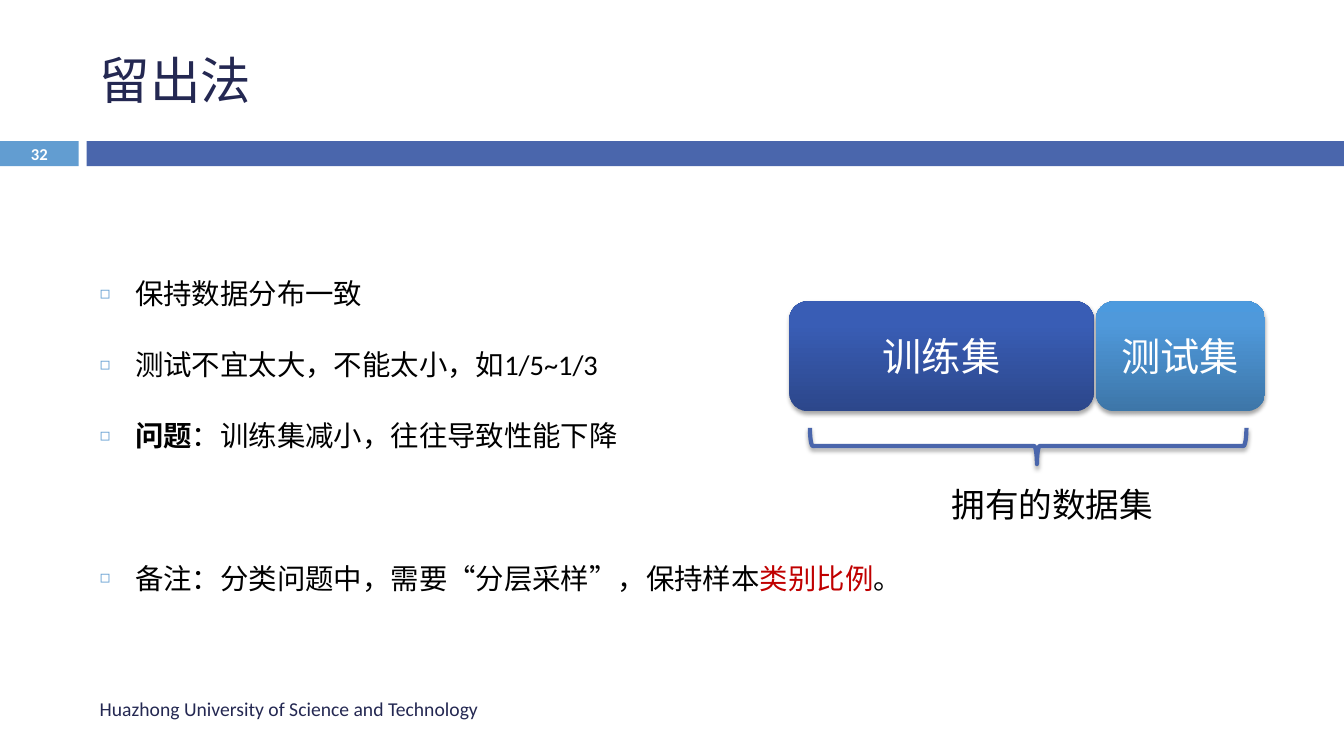
"""Build the slide on the hold-out method for splitting a data set."""
from copy import deepcopy

from lxml.etree import SubElement
from pptx import Presentation
from pptx.dml.color import RGBColor
from pptx.enum.shapes import MSO_SHAPE
from pptx.enum.text import MSO_ANCHOR, MSO_AUTO_SIZE, PP_ALIGN
from pptx.oxml.ns import qn
from pptx.util import Inches, Pt

COLOURS = {
    "navy": "242852", "blue": "4A66AC", "sky": "629DD1",
    "black": "000000", "white": "FFFFFF", "red": "C00000",
}
CJK_FONT = "Noto Sans CJK SC"

deck = Presentation()
deck.slide_width, deck.slide_height = Inches(13.33), Inches(7.5)
page = deck.slides.add_slide(deck.slide_layouts[1])


def area(left, top, width, height):
    """Turn percentages of the slide into a left, top, width and height."""
    return [int(deck.slide_width * left / 100), int(deck.slide_height * top / 100),
            int(deck.slide_width * width / 100), int(deck.slide_height * height / 100)]


def write(para, text, size, colour="black", bold=False, font="Calibri"):
    """Add a formatted span of text to a paragraph."""
    span = para.add_run()
    span.text = text
    span.font.size = Pt(size)
    span.font.bold = bold
    span.font.name = font
    span.font.color.rgb = RGBColor.from_string(COLOURS[colour])
    SubElement(span.font._element, qn("a:ea"), typeface=CJK_FONT)


BAND_TOP, BAND_HEIGHT = 18.67, 3.33
MARGIN = 6.68

bands = []
for left, width, colour in [(0, 5.85, "sky"), (6.45, 93.55, "blue")]:
    band = page.shapes.add_shape(MSO_SHAPE.RECTANGLE, *area(left, BAND_TOP, width, BAND_HEIGHT))
    band.shadow.inherit = False
    band.fill.solid()
    band.fill.fore_color.rgb = RGBColor.from_string(COLOURS[colour])
    band.line.fill.background()
    bands.append(band)
number_frame = bands[0].text_frame
number_frame.margin_top = number_frame.margin_bottom = 0
number_frame.paragraphs[0].alignment = PP_ALIGN.CENTER
write(number_frame.paragraphs[0], "32", size=11.9, colour="white", bold=True)

title = page.shapes.title
title.left, title.top, title.width, title.height = area(MARGIN, 3.33, 89.18, 14.4)
title.text_frame.vertical_anchor = MSO_ANCHOR.MIDDLE
title.text_frame.paragraphs[0].alignment = PP_ALIGN.LEFT
write(title.text_frame.paragraphs[0], "留出法", size=36, colour="navy")

body = page.placeholders[1]
body.left, body.top, body.width, body.height = area(MARGIN, 32.3, 81.75, 49.3)
body.text_frame.auto_size = MSO_AUTO_SIZE.NONE
points = [
    (0, [("保持数据分布一致", {})]),
    (7, [("测试不宜太大，不能太小，如1/5~1/3", {})]),
    (7, [("问题", {"bold": True}), ("：训练集减小，往往导致性能下降", {})]),
    (58, [("备注：分类问题中，需要“分层采样”，保持样本", {}),
          ("类别比例", {"colour": "red"}), ("。", {})]),
]
for index, (gap, spans) in enumerate(points):
    para = body.text_frame.add_paragraph() if index else body.text_frame.paragraphs[0]
    para.line_spacing = Pt(43.7)
    para.space_before = Pt(gap)
    layout = para._p.get_or_add_pPr()
    layout.set("marL", str(Inches(0.35)))
    layout.set("indent", str(-Inches(0.35)))
    bullet_colour = SubElement(layout, qn("a:buClr"))
    SubElement(bullet_colour, qn("a:srgbClr"), val=COLOURS["sky"])
    SubElement(layout, qn("a:buSzPct"), val="60000")
    SubElement(layout, qn("a:buChar"), char="◻")
    for text, style in spans:
        write(para, text, size=20.3, **style)

raised = []
data_sets = [
    ("训练集", 58.73, 22.65, ["2C478B", "395DB5", "375CB8"]),
    ("测试集", 81.53, 12.6, ["3D76A8", "4F99DB", "4C9ADE"]),
]
for name, left, width, shades in data_sets:
    box = page.shapes.add_shape(MSO_SHAPE.ROUNDED_RECTANGLE, *area(left, 39.87, width, 14.53))
    box.line.fill.background()
    box.fill.gradient()
    box.fill.gradient_angle = 90
    stop_list = box._element.spPr.find(qn("a:gradFill")).find(qn("a:gsLst"))
    stop_list.append(deepcopy(stop_list[-1]))
    for stop, position, shade in zip(box.fill.gradient_stops, [0, 0.8, 1], shades):
        stop.position = position
        stop.color.rgb = RGBColor.from_string(shade)
    box.text_frame.vertical_anchor = MSO_ANCHOR.MIDDLE
    box.text_frame.paragraphs[0].alignment = PP_ALIGN.CENTER
    write(box.text_frame.paragraphs[0], name, size=28, colour="white", font=CJK_FONT)
    raised.append(box)

brace = page.shapes.add_shape(MSO_SHAPE.RIGHT_BRACE, *area(75.15, 30.13, 2.7, 57.73))
brace.rotation = 90
brace.adjustments[0], brace.adjustments[1] = 0.08, 0.48
brace.fill.background()
brace.line.color.rgb = RGBColor.from_string(COLOURS["blue"])
brace.line.width = Pt(3)
raised.append(brace)

for shape in raised:
    shape.shadow.inherit = False
    effects = shape._element.spPr.find(qn("a:effectLst"))
    shadow = SubElement(effects, qn("a:outerShdw"), blurRad=str(Pt(3.1)), dist=str(Pt(1.8)),
                        dir="5400000", rotWithShape="0")
    shadow_colour = SubElement(shadow, qn("a:srgbClr"), val=COLOURS["black"])
    SubElement(shadow_colour, qn("a:alpha"), val="35000")

labels = [
    ("拥有的数据集", (70.05, 63.33, 16.65, 6.67), MSO_ANCHOR.TOP, 24, "black"),
    ("Huazhong University of Science and Technology", (MARGIN, 91.07, 59.25, 5.33),
     MSO_ANCHOR.MIDDLE, 14, "navy"),
]
for text, place, anchor, size, colour in labels:
    label = page.shapes.add_textbox(*area(*place))
    label.text_frame.word_wrap = True
    label.text_frame.vertical_anchor = anchor
    write(label.text_frame.paragraphs[0], text, size=size, colour=colour)

deck.save("out.pptx")
